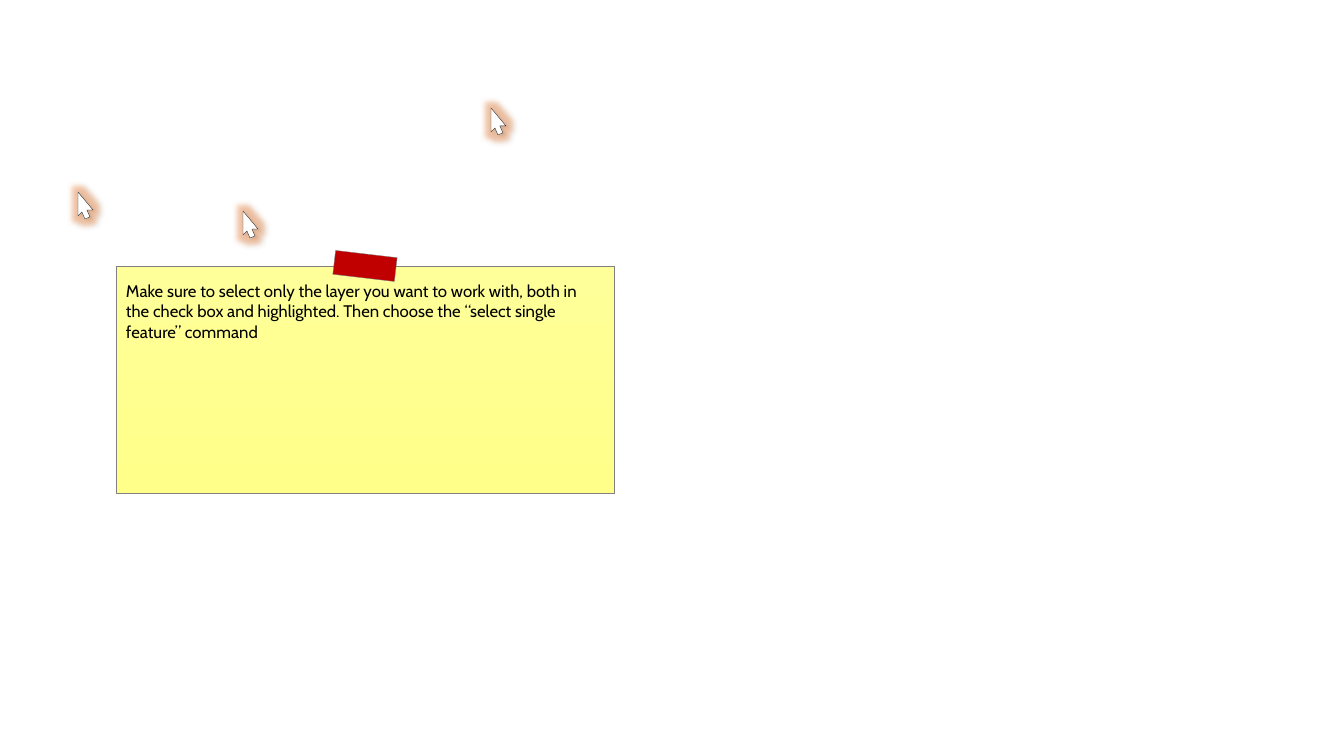
"""Builds a slide with a taped yellow note and three glowing mouse pointers."""
from lxml import etree
from pptx import Presentation
from pptx import util as u
from pptx.dml.color import RGBColor
from pptx.enum import shapes, text
from pptx.oxml.ns import qn

PX = 914400 / 100.8
COLORS = {
    "pointer": "FFFFFF", "outline": "262626", "glow": "ED7D31", "shadow": "000000",
    "note_top": "FFFF99", "note_bottom": "FFFF89", "edge": "808080",
    "tape": "C00000", "ink": "000000",
}
POINTER = [(15, 18), (9, 18), (12, 25), (7, 27), (4, 20), (0, 24)]
POINTER_TIPS = [(491, 108), (78, 192)]
FRONT_TIP = (243, 211)
ADVICE = ("Make sure to select only the layer you want to work with, both in the check box "
          "and highlighted. Then choose the “select single feature” command")


def px(length):
    return u.Emu(round(length * PX))


def rgb(name):
    return RGBColor.from_string(COLORS[name])


class Board:
    """Holds the style and the current slide."""

    def __init__(self, prs, font):
        self.slide = prs.slides.add_slide(prs.slide_layouts[6])
        self.font = font

    def outline(self, shape, color):
        shape.shadow.inherit = False
        shape.line.color.rgb = rgb(color)
        shape.line.width = u.Pt(0.25)

    def effect(self, shape, tag, color, alpha, **settings):
        effects = shape._element.spPr.find(qn("a:effectLst"))
        node = etree.SubElement(effects, qn(tag), settings)
        tint = etree.SubElement(node, qn("a:srgbClr"), val=COLORS[color])
        etree.SubElement(tint, qn("a:alpha"), val=str(alpha * 1000))

    def pointer(self, x, y):
        builder = self.slide.shapes.build_freeform(x, y, scale=PX)
        builder.add_line_segments([(x + dx, y + dy) for dx, dy in POINTER], close=True)
        arrow = builder.convert_to_shape()
        arrow.fill.solid()
        arrow.fill.fore_color.rgb = rgb("pointer")
        self.outline(arrow, "outline")
        self.effect(arrow, "a:glow", "glow", 40, rad=str(u.Pt(8)))
        self.effect(arrow, "a:outerShdw", "shadow", 20, blurRad=str(u.Pt(2)),
                    dist=str(u.Pt(2)), dir=str(34 * 60000))

    def rectangle(self, group, *box):
        rect = group.shapes.add_shape(shapes.MSO_SHAPE.RECTANGLE, *map(px, box))
        self.outline(rect, "edge")
        return rect

    def note(self, words):
        group = self.slide.shapes.add_group_shape()
        sheet = self.rectangle(group, 116, 266, 498, 227)
        sheet.fill.gradient()
        sheet.fill.gradient_angle = 270
        for stop, color, position in zip(sheet.fill.gradient_stops,
                                         ("note_top", "note_bottom"), (0, 1)):
            stop.color.rgb = rgb(color)
            stop.position = position
        frame = sheet.text_frame
        frame.word_wrap = True
        frame.vertical_anchor = text.MSO_ANCHOR.TOP
        frame.margin_left = frame.margin_right = px(10)
        frame.margin_top, frame.margin_bottom = px(15), px(5)
        frame.text = words
        paragraph = frame.paragraphs[0]
        paragraph.alignment = text.PP_ALIGN.LEFT
        for run in paragraph.runs:
            run.font.name = self.font
            run.font.size = u.Pt(12)
            run.font.color.rgb = rgb("ink")
        tape = self.rectangle(group, 334, 254, 62, 24)
        tape.rotation = 6.7
        tape.fill.solid()
        tape.fill.fore_color.rgb = rgb("tape")


def main():
    prs = Presentation()
    prs.slide_width, prs.slide_height = px(1344), px(756)
    board = Board(prs, "Cabin")
    for tip in POINTER_TIPS:
        board.pointer(*tip)
    board.note(ADVICE)
    board.pointer(*FRONT_TIP)
    prs.save("out.pptx")


if __name__ == "__main__":
    main()
